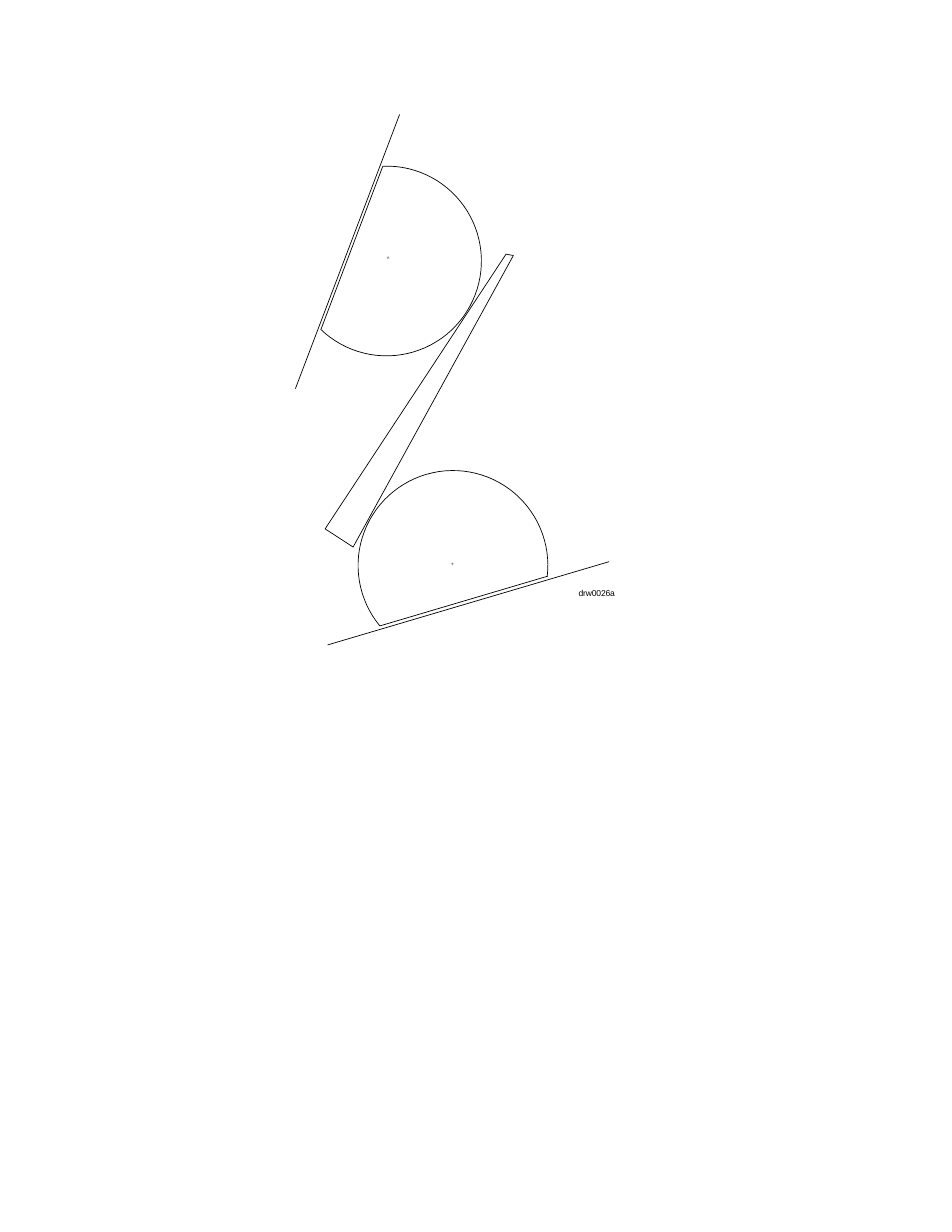
from math import cos, radians, sin

from lxml import etree
from pptx import Presentation
from pptx.dml.color import RGBColor
from pptx.enum.shapes import MSO_CONNECTOR
from pptx.enum.text import PP_ALIGN
from pptx.oxml.ns import qn
from pptx.util import Pt

STRAIGHT = MSO_CONNECTOR.STRAIGHT
RIGHT = PP_ALIGN.RIGHT
BLACK = "000000"
LINE_WIDTH = 0.45
RADIUS = 61
ARC_STEPS = 60


def color(value):
    return RGBColor.from_string(value)


def add_outline(points, close):
    corners = [(Pt(x), Pt(y)) for x, y in points]
    builder = slide.shapes.build_freeform(*corners[0])
    builder.add_line_segments(corners[1:], close=close)
    shape = builder.convert_to_shape()
    shape.shadow.inherit = False
    shape.fill.background()
    shape.line.color.rgb = color(BLACK)
    shape.line.width = Pt(LINE_WIDTH)


presentation = Presentation()
presentation.slide_width = Pt(612)
presentation.slide_height = Pt(792)
slide = presentation.slides.add_slide(presentation.slide_layouts[6])

rollers = [
    (291.2, 363.5, 140.4, 366.9),
    (248.5, 167.8, 268, 494),
]
for center_x, center_y, first_angle, last_angle in rollers:
    arc = []
    for step in range(ARC_STEPS + 1):
        angle = radians(first_angle + (last_angle - first_angle) * step / ARC_STEPS)
        arc.append((center_x + RADIUS * cos(angle), center_y + RADIUS * sin(angle)))
    add_outline(arc, False)

add_outline([(209, 340), (227, 351.7), (330, 164.3), (325.3, 163.4)], True)

straight_lines = [
    (210.6, 414.6, 391.6, 361.1),
    (351.8, 370.5, 244.2, 402.4),
    (256.9, 73.6, 189.9, 249.9),
    (206.4, 211.6, 246.1, 106.9),
]
for line in straight_lines:
    connector = slide.shapes.add_connector(STRAIGHT, *[Pt(value) for value in line])
    connector.line.color.rgb = color(BLACK)
    connector.line.width = Pt(LINE_WIDTH)
    etree.SubElement(connector._element.spPr, qn("a:effectLst"))

center_marks = [
    (288.7, 360.2, 106.6, 25.2, 0, ["+", "drw0026a"]),
    (246.6, 165.1, 5, 4.3, 127, ["+"]),
]
for left, top, width, height, rotation, texts in center_marks:
    box = slide.shapes.add_textbox(Pt(left), Pt(top), Pt(width), Pt(height))
    box.rotation = rotation
    frame = box.text_frame
    frame.margin_left = frame.margin_right = 0
    frame.margin_top = frame.margin_bottom = 0
    frame.word_wrap = True
    frame.text = "\n".join(texts)
    for paragraph in frame.paragraphs:
        font = paragraph.runs[0].font
        font.name, font.size = "Times New Roman", Pt(4)
        font.color.rgb = color(BLACK)
    if len(texts) > 1:
        frame.paragraphs[0]._p.get_or_add_pPr().set("marL", str(Pt(0.9)))
        label = frame.paragraphs[1]
        label.alignment = RIGHT
        label.space_before = Pt(13.2)
        font = label.runs[0].font
        font.name, font.size = "Arial", Pt(5.5)
        label.runs[0]._r.get_or_add_rPr().set("spc", "-10")

presentation.save("out.pptx")
